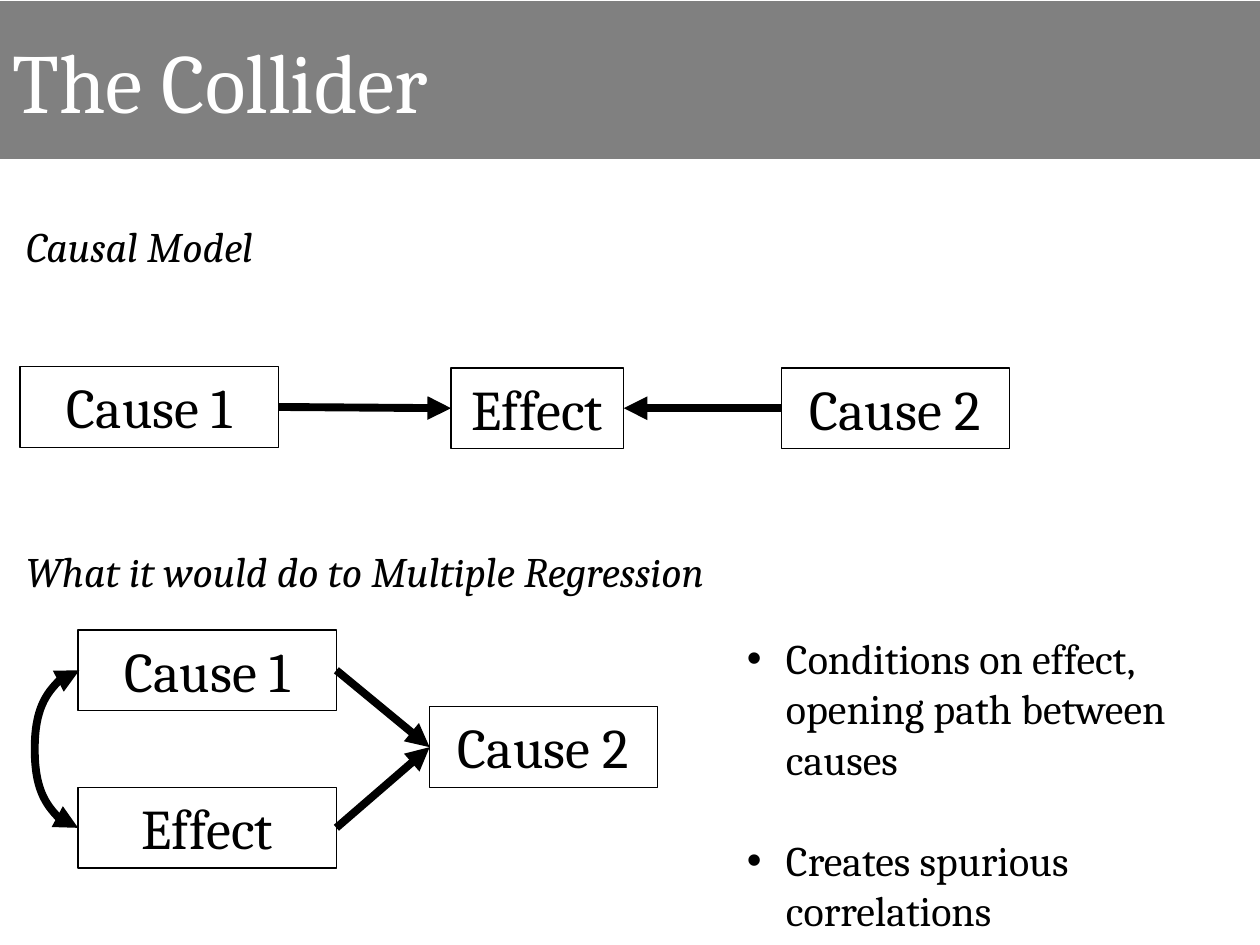
from pptx import Presentation
from pptx.dml.color import RGBColor
from pptx.enum.shapes import MSO_CONNECTOR, MSO_SHAPE
from pptx.enum.text import MSO_ANCHOR, MSO_AUTO_SIZE, PP_ALIGN
from pptx.oxml.ns import qn
from pptx.util import Inches, Pt
from lxml.etree import SubElement

FONT = "Cambria"
BLACK, WHITE, GRAY = "000000", "FFFFFF", "808080"
LEFT, RIGHT = 1, 3  # connection sites of a rectangle


def paint(color, value):
    color.rgb = RGBColor.from_string(value)


def add_bullet(para):
    props = para._p.get_or_add_pPr()
    props.set("marL", str(Inches(0.31)))
    props.set("indent", str(-Inches(0.31)))
    SubElement(props, qn("a:buFont"), typeface="Arial")
    SubElement(props, qn("a:buChar"), char="•")


def write(frame, lines, size=24, color=BLACK, italic=False, align=PP_ALIGN.LEFT,
          anchor=MSO_ANCHOR.TOP, wrap=True, bullet=False, gap=0):
    frame.word_wrap = wrap
    frame.auto_size = MSO_AUTO_SIZE.NONE
    frame.vertical_anchor = anchor
    for i, line in enumerate(lines):
        para = frame.add_paragraph() if i else frame.paragraphs[0]
        para.alignment = align
        if i and gap:
            para.space_before = Pt(gap)
        if bullet:
            add_bullet(para)
        run = para.add_run()
        run.text = line
        font = run.font
        font.name, font.size, font.italic = FONT, Pt(size), italic
        paint(font.color, color)


def add_title(slide, text):
    title = slide.shapes.title
    title.left, title.top = Inches(0), Inches(0.01)
    title.width, title.height = Inches(10), Inches(1.25)
    title.fill.solid()
    paint(title.fill.fore_color, GRAY)
    paint(title.line.color, GRAY)
    title.line.width = Pt(0.75)
    write(title.text_frame, [text], size=48, color=WHITE, anchor=MSO_ANCHOR.MIDDLE)


def add_text(slide, lines, x, y, w, h, **style):
    box = slide.shapes.add_textbox(Inches(x), Inches(y), Inches(w), Inches(h))
    write(box.text_frame, lines, **style)


def add_node(slide, text, x, y, w):
    node = slide.shapes.add_shape(
        MSO_SHAPE.RECTANGLE, Inches(x), Inches(y), Inches(w), Inches(0.64))
    node.shadow.inherit = False
    node.fill.background()
    paint(node.line.color, BLACK)
    node.line.width = Pt(0.75)
    write(node.text_frame, [text], size=32, align=PP_ALIGN.CENTER)
    return node


def add_line(slide, kind, x1=0, y1=0, x2=0, y2=0, ends=("tailEnd",)):
    link = slide.shapes.add_connector(
        kind, Inches(x1), Inches(y1), Inches(x2), Inches(y2))
    paint(link.line.color, BLACK)
    link.line.width = Pt(4.5)
    for end in ends:
        SubElement(link.line._get_or_add_ln(), qn("a:" + end), type="triangle")
    SubElement(link._element.spPr, qn("a:effectLst"))
    return link


def add_arrow(slide, start, site, goal, side):
    link = add_line(slide, MSO_CONNECTOR.STRAIGHT)
    link.begin_connect(start, site)
    link.end_connect(goal, side)


def add_arc(slide, x, y1, y2, reach):
    # The bend is a share of the connector's tiny width
    width = 0.01
    arc = add_line(slide, MSO_CONNECTOR.CURVE, x + width, y1, x, y2,
                   ends=("headEnd", "tailEnd"))
    guides = arc._element.spPr.find(qn("a:prstGeom")).get_or_add_avLst()
    bend = round(reach / width * 100000)
    SubElement(guides, qn("a:gd"), name="adj1", fmla=f"val {bend}")


def main():
    deck = Presentation()
    deck.slide_width, deck.slide_height = Inches(10), Inches(7.5)
    slide = deck.slides.add_slide(deck.slide_layouts[5])
    add_title(slide, "The Collider")

    # Causal model
    add_text(slide, ["Causal Model"], 0.11, 1.7, 2.27, 0.5, italic=True, wrap=False)
    first = add_node(slide, "Cause 1", 0.16, 2.91, 2.05)
    effect = add_node(slide, "Effect", 3.58, 2.92, 1.37)
    second = add_node(slide, "Cause 2", 6.2, 2.92, 1.81)
    add_arrow(slide, first, RIGHT, effect, LEFT)
    add_arrow(slide, second, LEFT, effect, RIGHT)

    # Multiple regression
    add_text(slide, ["What it would do to Multiple Regression"],
             0.11, 4.28, 6.31, 0.5, italic=True, wrap=False)
    goal = add_node(slide, "Cause 2", 3.41, 5.61, 1.81)
    for text, y in (("Cause 1", 5), ("Effect", 6.25)):
        node = add_node(slide, text, 0.62, y, 2.05)
        add_arrow(slide, node, RIGHT, goal, LEFT)
    add_arc(slide, 0.62, 5.32, 6.57, 0.36)

    # Consequences
    add_text(slide, ["Conditions on effect, opening path between causes",
                     "Creates spurious correlations"],
             5.83, 4.97, 4.17, 2.52, bullet=True, gap=29)

    deck.save("out.pptx")


if __name__ == "__main__":
    main()
